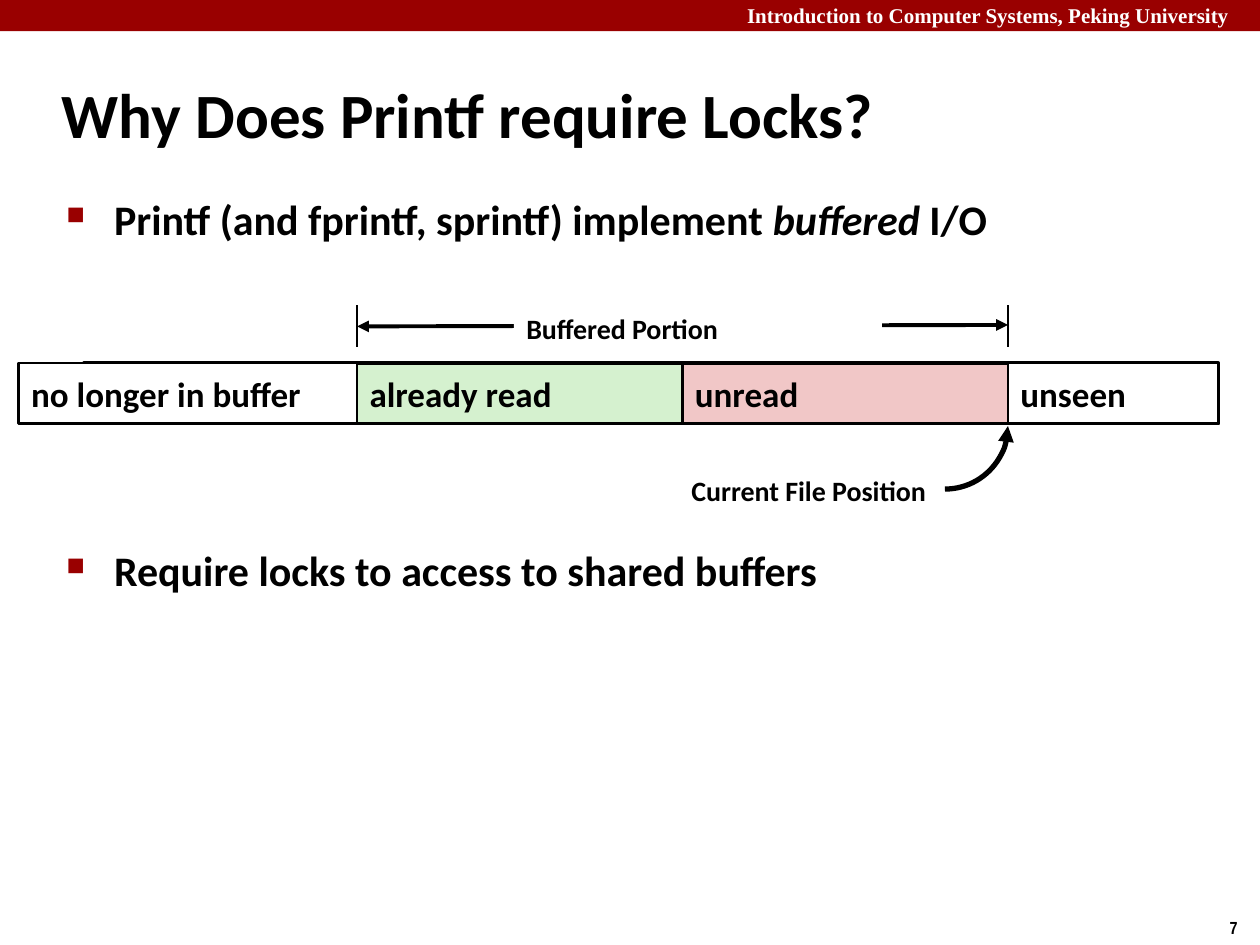
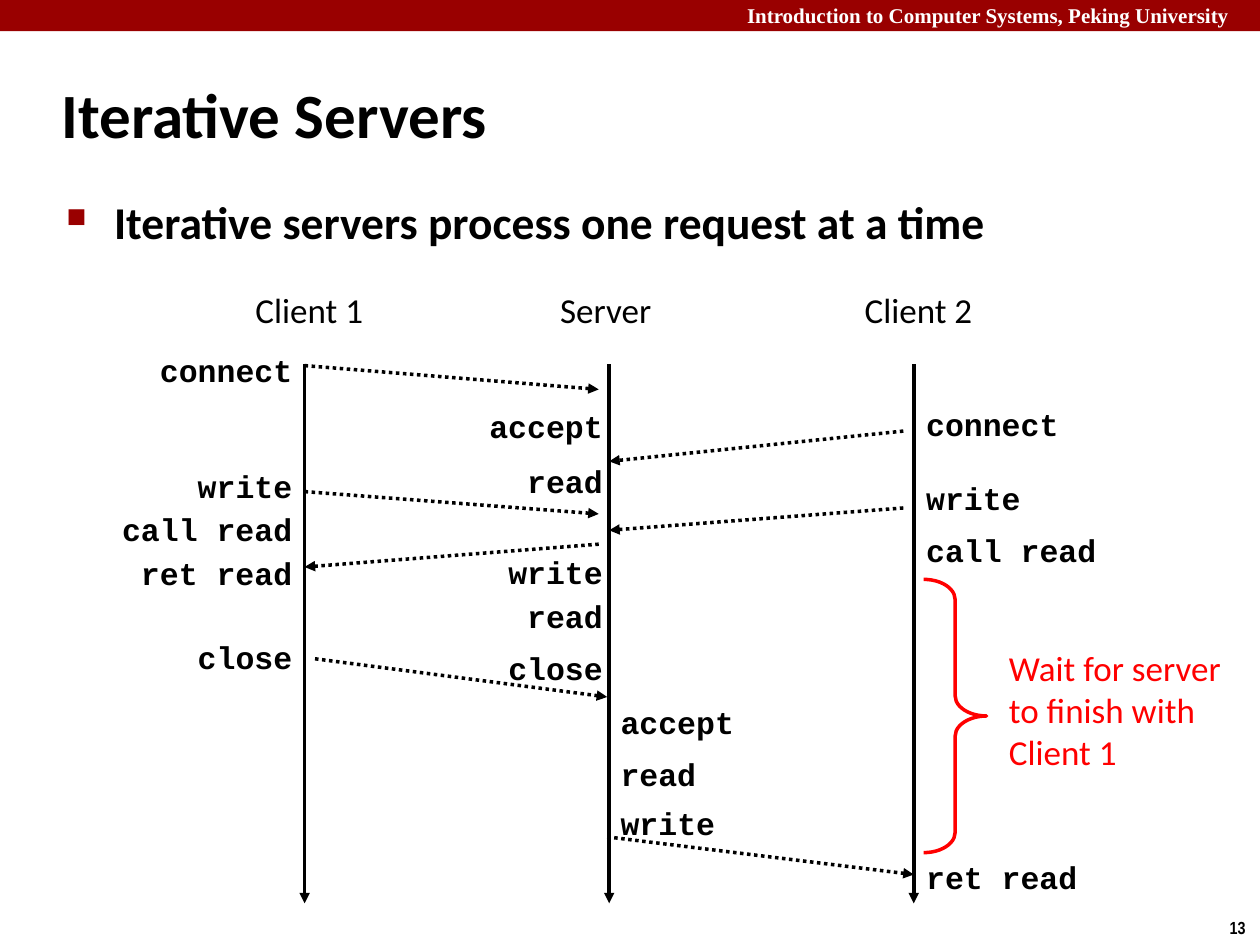
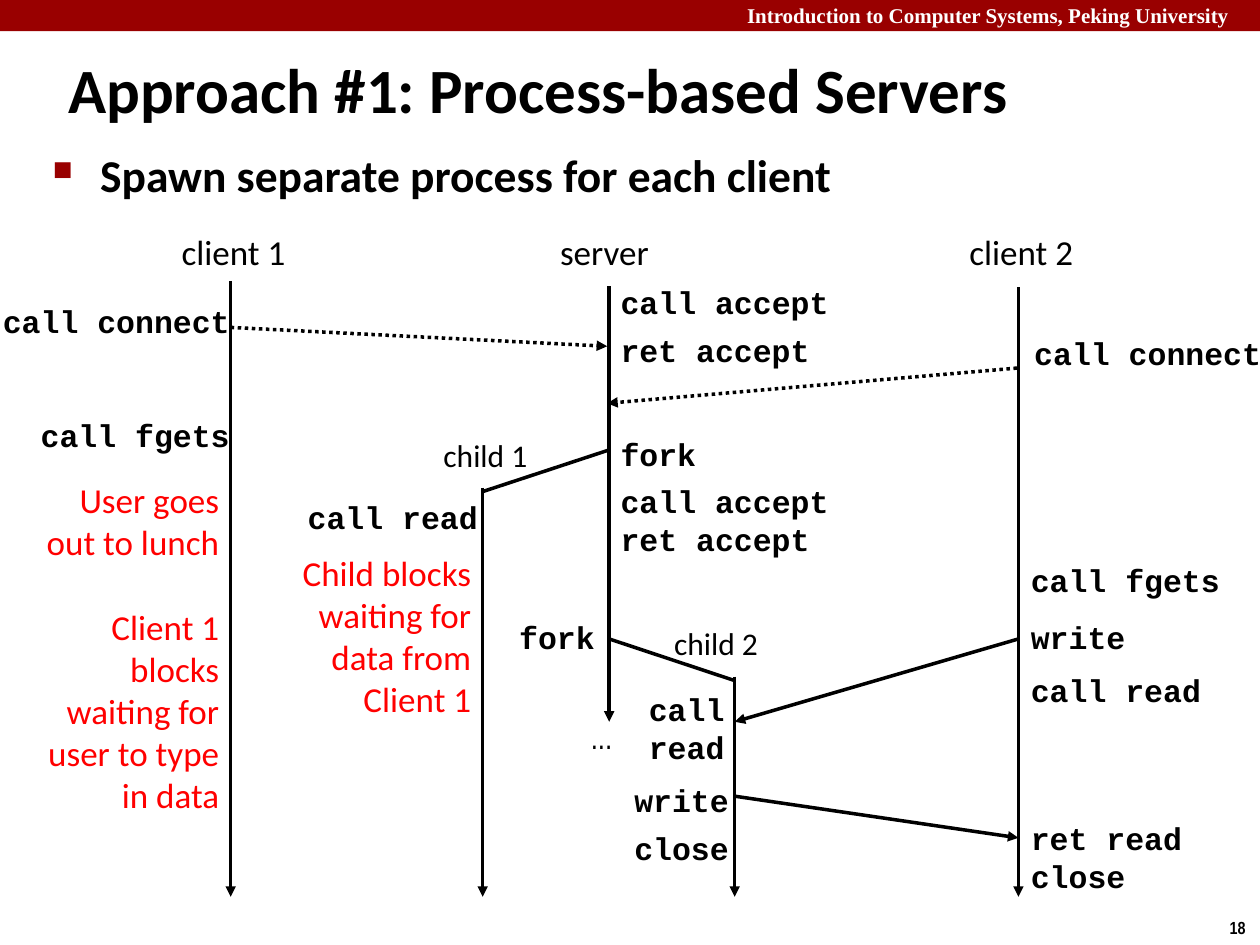
"""Build three course slides on buffered output and on iterative and process-based servers."""
from lxml import etree
from pptx import Presentation
from pptx import util as u
from pptx.dml.color import RGBColor
from pptx.enum import dml, shapes, text
from pptx.oxml.ns import qn

BLACK = RGBColor(0x00, 0x00, 0x00)
WHITE = RGBColor(0xFF, 0xFF, 0xFF)
CRIMSON = RGBColor(0x99, 0x00, 0x00)
RED = RGBColor(0xFF, 0x00, 0x00)
GREEN = RGBColor(0xD5, 0xF1, 0xCF)
PINK = RGBColor(0xF1, 0xC7, 0xC7)

SANS, MONO, SERIF, NARROW = "Calibri", "Courier New", "Times New Roman", "Arial Narrow"
LEFT, RIGHT = text.PP_ALIGN.LEFT, text.PP_ALIGN.RIGHT
RECTANGLE = shapes.MSO_SHAPE.RECTANGLE
COURSE = "Introduction to Computer Systems, Peking University"
TITLE_AT = (0.99, 1.22, 21.08, 2.11)

BUFFER_TOP, BUFFER_HEIGHT = 7.32, 1.22
READ_START, READ_END, FILE_POSITION, FILE_END = 7.2, 13.76, 20.32, 24.56
BUFFER_CELLS = [
    ("unread", READ_END, FILE_POSITION, PINK, 1.5),
    ("already read", READ_START, READ_END, GREEN, 1.5),
    ("", 1.7, FILE_END, None, 2.25),
    ("no longer in buffer", 0.38, READ_START, WHITE, 1.5),
    ("unseen", FILE_POSITION, FILE_END, WHITE, 1.5),
]

ITERATIVE = {
    "heading_top": 5.69,
    "lifelines": [("Client 1", 6.14, 7.34, 18.21), ("Server", 12.28, 7.34, 18.21),
                  ("Client 2", 18.42, 7.34, 18.21)],
    "requests": [(6.14, 7.37, 12.07, 7.85), (18.21, 8.69, 12.28, 9.3),
                 (6.14, 9.91, 12.07, 10.36), (18.21, 10.24, 12.28, 10.69),
                 (12.07, 10.97, 6.14, 11.43), (6.35, 13.28, 12.24, 14.05),
                 (12.24, 16.87, 18.42, 17.63)],
    "calls": [
        (RIGHT, 6.14, [("connect", 6.96), ("write", 9.3), ("call read", 10.16),
                       ("ret read", 11.05), ("close", 12.73)]),
        (RIGHT, 12.4, [("accept", 8.08), ("read", 9.19), ("write", 11.02),
                       ("read", 11.91), ("close", 12.95)]),
        (LEFT, 12.26, [("accept", 14.05), ("read", 15.09), ("write", 16.08)]),
        (LEFT, 18.42, [("connect", 8.05), ("write", 9.53), ("call read", 10.59),
                       ("ret read", 17.17)]),
    ],
    "notes": [((20.09, 12.9, 5.31, 2.82), LEFT, ["Wait for server to finish with Client 1"])],
}

PROCESS_BASED = {
    "heading_top": 4.52,
    "lifelines": [("client 1", 4.65, 5.66, 18.08), ("server", 12.28, 5.77, 14.55),
                  ("client 2", 20.53, 5.79, 18.08), ("", 9.73, 9.83, 18.08),
                  ("", 14.81, 13.64, 18.08)],
    "requests": [(4.65, 6.6, 12.24, 6.98), (20.5, 7.42, 12.24, 8.13)],
    "forks": [(12.28, 9.07, 9.73, 9.91), (12.28, 12.88, 14.81, 13.72)],
    "transfers": [(20.53, 12.88, 14.81, 14.55), (14.81, 16.05, 20.53, 16.89)],
    "calls": [
        (RIGHT, 4.88, [("call connect", 5.97), ("call fgets", 8.26)]),
        (RIGHT, 9.88, [("call read", 9.91)]),
        (RIGHT, 12.24, [("fork", 12.34)]),
        (RIGHT, 14.94, [("write", 15.62), ("close", 16.59)]),
        (LEFT, 12.26, [("call accept", 5.59), ("ret accept", 6.55), ("fork", 8.64),
                       ("call accept", 9.6), ("ret accept", 10.36)]),
        (LEFT, 20.6, [("call connect", 6.6)]),
        (LEFT, 20.53, [("call fgets", 11.18), ("write", 12.34), ("call read", 13.41),
                       ("ret read", 16.38), ("close", 17.15)]),
    ],
    "notes": [
        ((0.43, 9.53, 4.24, 7.09), RIGHT,
         ["User goes out to lunch", "Client 1 blocks", "waiting for user to type in data"]),
        ((5.51, 11, 4.24, 3.68), RIGHT, ["Child blocks waiting for data from Client 1"]),
    ],
}


def lengths(values):
    return [u.Cm(value) for value in values]


def style(para, size, name=SANS, color=BLACK, bold=False, align=LEFT):
    para.alignment = align
    font = para.font
    font.size, font.name, font.bold = u.Pt(size), name, bold
    font.color.rgb = color


def add_text(page, at, lines, size, **look):
    box = page.shapes.add_textbox(*lengths(at))
    box.text_frame.word_wrap = True
    box.text_frame.text = "\n".join(lines)
    for para in box.text_frame.paragraphs:
        style(para, size, **look)
    return box


def add_shape(page, kind, at, fill=None, line=None, width=1.5):
    shape = page.shapes.add_shape(kind, *lengths(at))
    shape.shadow.inherit = False
    for paint, color in ((shape.fill, fill), (shape.line.fill, line)):
        if color is None:
            paint.background()
        else:
            paint.solid()
            paint.fore_color.rgb = color
    if line is not None:
        shape.line.width = u.Pt(width)
    return shape


def add_arrowheads(shape, ends):
    for end in ends:
        etree.SubElement(shape.line._get_or_add_ln(), qn(f"a:{end}"), type="triangle")


def add_line(page, ends, width=2, dotted=False, arrows=("tailEnd",)):
    line = page.shapes.add_connector(shapes.MSO_CONNECTOR.STRAIGHT, *lengths(ends))
    line.line.color.rgb = BLACK
    line.line.width = u.Pt(width)
    if dotted:
        line.line.dash_style = dml.MSO_LINE.ROUND_DOT
    add_arrowheads(line, arrows)
    etree.SubElement(line._element.spPr, qn("a:effectLst"))


def add_bullets(page, at, bullets, size, gap=0):
    box = page.shapes.add_textbox(*lengths(at))
    frame = box.text_frame
    frame.word_wrap = True
    for index, spans in enumerate(bullets):
        para = frame.paragraphs[0] if index == 0 else frame.add_paragraph()
        for words, italic in spans:
            span = para.add_run()
            span.text = words
            if italic:
                span.font.italic = True
        properties = para._p.get_or_add_pPr()
        properties.set("marL", str(u.Cm(0.96)))
        properties.set("indent", str(u.Cm(-0.96)))
        color = etree.SubElement(properties, qn("a:buClr"))
        etree.SubElement(color, qn("a:srgbClr"), val=str(CRIMSON))
        etree.SubElement(properties, qn("a:buSzPct"), val="60000")
        etree.SubElement(properties, qn("a:buChar"), char="■")
        if index:
            para.space_before = u.Pt(gap)
        style(para, size, bold=True)


def add_page(deck, title, number, title_at=TITLE_AT):
    page = deck.slides.add_slide(deck.slide_layouts[5])
    add_shape(page, RECTANGLE, (0, 0, 25.4, 0.63), CRIMSON)
    add_text(page, (14.81, -0.08, 10.77, 0.76), [COURSE], 12, name=SERIF, color=WHITE, bold=True)
    add_text(page, (24.54, 18.36, 0.86, 0.69), [number], 10, name=NARROW, bold=True)
    heading = page.shapes.title
    heading.left, heading.top, heading.width, heading.height = lengths(title_at)
    heading.text_frame.text = title
    heading.text_frame.vertical_anchor = text.MSO_ANCHOR.MIDDLE
    style(heading.text_frame.paragraphs[0], 36, bold=True)
    return page


def add_call(page, words, align, edge, top):
    width = 0.385 * len(words) + 0.53
    left = edge - width if align == RIGHT else edge
    add_text(page, (left, top, width, 1.02), [words], 18, name=MONO, bold=True, align=align)


def add_sequence(page, diagram):
    for name, x, top, bottom in diagram["lifelines"]:
        add_line(page, (x, top, x, bottom))
        if name:
            add_text(page, (x - 1.24, diagram["heading_top"], 2.8, 1.12), [name], 20)
    for ends in diagram["requests"]:
        add_line(page, ends, dotted=True)
    for ends in diagram.get("forks", []):
        add_line(page, ends, arrows=())
    for ends in diagram.get("transfers", []):
        add_line(page, ends)
    for align, edge, calls in diagram["calls"]:
        for words, top in calls:
            add_call(page, words, align, edge, top)
    for at, align, lines in diagram["notes"]:
        note = add_text(page, at, lines, 20, color=RED, align=align)
        if len(lines) > 1:
            note.text_frame.paragraphs[1].space_before = u.Pt(24.4)


def build_buffer(deck):
    page = add_page(deck, "Why Does Printf require Locks?", "7")
    add_bullets(page, (1.09, 3.78, 21.95, 1.93), [
        [("Printf (and fprintf, sprintf) implement ", False), ("buffered", True), (" I/O", False)],
        [("Require locks to access to shared buffers", False)],
    ], 24, gap=171.8)
    for words, left, right, fill, width in BUFFER_CELLS:
        cell = add_shape(page, RECTANGLE, (left, BUFFER_TOP, right - left, BUFFER_HEIGHT),
                         fill, BLACK, width)
        if words:
            cell.text_frame.text = words
            cell.text_frame.vertical_anchor = text.MSO_ANCHOR.MIDDLE
            style(cell.text_frame.paragraphs[0], 20, bold=True)
    radius = 1.27
    pointer = add_shape(page, shapes.MSO_SHAPE.ARC,
                        (FILE_POSITION - 2 * radius, 8.59 - radius, 2 * radius, 2 * radius),
                        line=BLACK, width=3)
    pointer.adjustments[0], pointer.adjustments[1] = 0, 54
    add_arrowheads(pointer, ["headEnd"])
    add_text(page, (11.73, 9.42, 7.19, 0.94), ["Current File Position"], 16, bold=True, align=RIGHT)
    for x in (READ_START, FILE_POSITION):
        add_line(page, (x, 6.99, x, 6.15), 1.5, arrows=())
    add_line(page, (READ_START, 6.58, FILE_POSITION, 6.55), 2.25, arrows=("headEnd", "tailEnd"))
    caption = add_text(page, (10.36, 6.15, 7.42, 0.94), ["Buffered Portion"], 16, bold=True)
    caption.fill.solid()
    caption.fill.fore_color.rgb = WHITE


def build_iterative(deck):
    page = add_page(deck, "Iterative Servers", "13")
    add_bullets(page, (1.09, 3.78, 21.95, 13.82),
                [[("Iterative servers process one request at a time", False)]], 26)
    add_sequence(page, ITERATIVE)
    brace = add_shape(page, shapes.MSO_SHAPE.RIGHT_BRACE, (18.62, 11.68, 1.27, 5.51),
                      line=RED, width=2)
    brace.adjustments[0] = 0.32


def build_process_based(deck):
    page = add_page(deck, "Approach #1: Process-based Servers", "18", (1.12, 0.69, 24.23, 2.16))
    add_bullets(page, (0.81, 2.84, 24.59, 15.04),
                [[("Spawn separate process for each client", False)]], 26)
    add_sequence(page, PROCESS_BASED)
    for name, left, top in (("child 1", 8.69, 8.66), ("child 2", 13.34, 12.45)):
        add_text(page, (left, top, 2.3, 1.02), [name], 18)
    add_text(page, (12.83, 13.79, 2.44, 1.8), ["call", "read"], 18, name=MONO, bold=True)
    add_text(page, (11.66, 14.35, 1.1, 1.02), ["..."], 18, name=NARROW)


def main():
    deck = Presentation()
    deck.slide_width, deck.slide_height = u.Cm(25.4), u.Cm(19.05)
    build_buffer(deck)
    build_iterative(deck)
    build_process_based(deck)
    deck.save("out.pptx")


if __name__ == "__main__":
    main()
